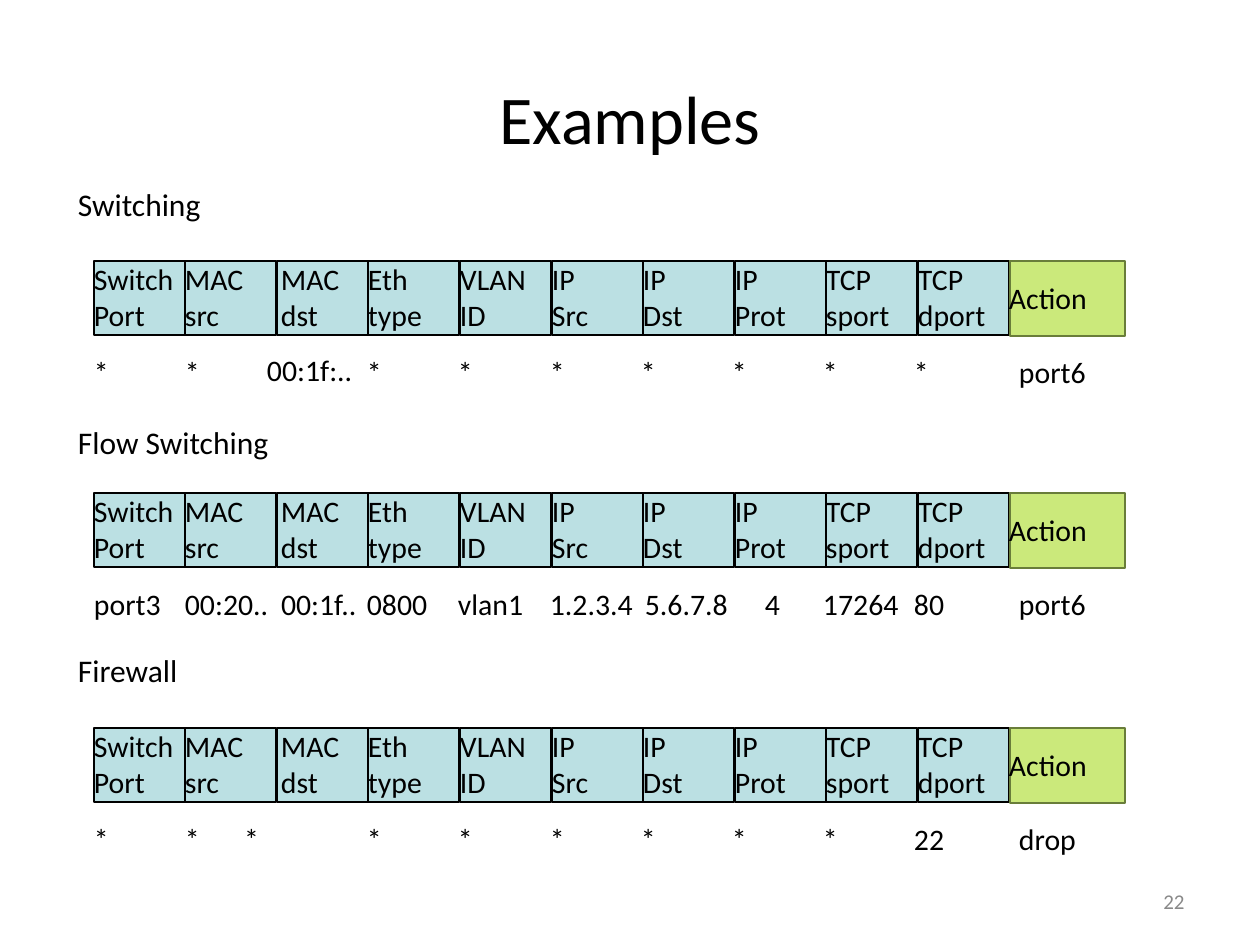
import pptx
import pptx.util
import pptx.dml.color
import pptx.enum.shapes
import pptx.enum.text

SCALE = 914400 / 126
FONT = "Calibri"
COLORS = {
    "ink": "000000",
    "field": "BBE0E3",
    "action": "CBE97B",
    "edge": "697D3A",
    "number": "898989",
}
FIELDS = [
    ("Switch", "Port"), ("MAC", "src"), ("MAC", "dst"), ("Eth", "type"),
    ("VLAN", "ID"), ("IP", "Src"), ("IP", "Dst"), ("IP", "Prot"),
    ("TCP", "sport"), ("TCP", "dport"),
]
RULES = [
    {"name": "Switching", "head": 185, "top": 261,
     "match": ["*", "*", "00:1f:..", "*", "*", "*", "*", "*", "*", "*"],
     "action": "port6", "moved": {2: (267, -2, 156)}},
    {"name": "Flow Switching", "head": 423, "top": 493,
     "match": ["port3", "00:20..", "00:1f..", "0800", "vlan1",
               "1.2.3.4", "5.6.7.8", "4", "17264", "80"],
     "action": "port6",
     "moved": {2: (281, 0, 120), 6: (645, 0, 91), 7: (765, 0, 91)}},
    {"name": "Firewall", "head": 651, "top": 728,
     "match": ["*", "*", "*", "*", "*", "*", "*", "*", "*", "22"],
     "action": "drop", "moved": {2: (244, 0, 156)}},
]


def px(n):
    return pptx.util.Emu(round(n * SCALE))


def rgb(key):
    return pptx.dml.color.RGBColor.from_string(COLORS[key])


def write(frame, lines, size, color="ink", align="LEFT"):
    frame.vertical_anchor = pptx.enum.text.MSO_ANCHOR.MIDDLE
    for i, line in enumerate(lines):
        para = frame.paragraphs[0] if i == 0 else frame.add_paragraph()
        para.alignment = getattr(pptx.enum.text.PP_ALIGN, align)
        run = para.add_run()
        run.text = line
        run.font.size = pptx.util.Pt(size)
        run.font.name = FONT
        run.font.color.rgb = rgb(color)


def add_label(shapes, box, lines, size=17):
    frame = shapes.add_textbox(*map(px, box)).text_frame
    frame.word_wrap = True
    frame.margin_left = frame.margin_right = 0
    frame.margin_top = frame.margin_bottom = 0
    write(frame, lines, size)
    return frame


def add_cell(shapes, box, fill, line):
    kind = pptx.enum.shapes.MSO_SHAPE.RECTANGLE
    cell = shapes.add_shape(kind, *map(px, box))
    cell.shadow.inherit = False
    cell.fill.solid()
    cell.fill.fore_color.rgb = rgb(fill)
    cell.line.color.rgb = rgb(line)
    cell.line.width = pptx.util.Pt(1)


def add_title(slide, text):
    title = slide.shapes.title
    title.left, title.top, title.width, title.height = map(px, (63, 38, 1134, 158))
    title.text_frame.auto_size = pptx.enum.text.MSO_AUTO_SIZE.NONE
    write(title.text_frame, [text], 39, align="CENTER")


def add_head(shapes, top, text):
    frame = add_label(shapes, (78, top, 192, 38), [text], 18)
    frame.word_wrap = False
    frame.auto_size = pptx.enum.text.MSO_AUTO_SIZE.SHAPE_TO_FIT_TEXT


def add_fields(slide, top):
    shapes = slide.shapes.add_group_shape().shapes
    for col, lines in enumerate(FIELDS):
        left = 94 + col * 916 // 10
        shift = 4 if lines == ("MAC", "dst") else 0
        add_cell(shapes, (left, top, 91, 74), "field", "ink")
        add_label(shapes, (left + shift, top - 3, 91 - shift, 78), lines)
    add_cell(shapes, (1010, top, 115, 75), "action", "edge")
    add_label(shapes, (1009, top + 15, 116, 44), ["Action"])


def add_match(shapes, rule):
    top = rule["top"] + 89
    for col, text in enumerate(rule["match"]):
        place = (94 + col * 912 // 10, 0, 91)
        left, drop, width = rule["moved"].get(col, place)
        add_label(shapes, (left, top + drop, width, 44), [text])
    add_label(shapes, (1019, top, 91, 44), [rule["action"]])


def add_number(shapes, text):
    frame = shapes.add_textbox(*map(px, (903, 876, 294, 50))).text_frame
    frame.word_wrap = True
    write(frame, [text], 12, "number", "RIGHT")


def main():
    deck = pptx.Presentation()
    deck.slide_width, deck.slide_height = px(1260), px(945)
    slide = deck.slides.add_slide(deck.slide_layouts[5])
    add_title(slide, "Examples")
    for rule in RULES:
        add_head(slide.shapes, rule["head"], rule["name"])
        add_fields(slide, rule["top"])
        add_match(slide.shapes, rule)
    add_number(slide.shapes, "22")
    deck.save("out.pptx")


if __name__ == "__main__":
    main()
